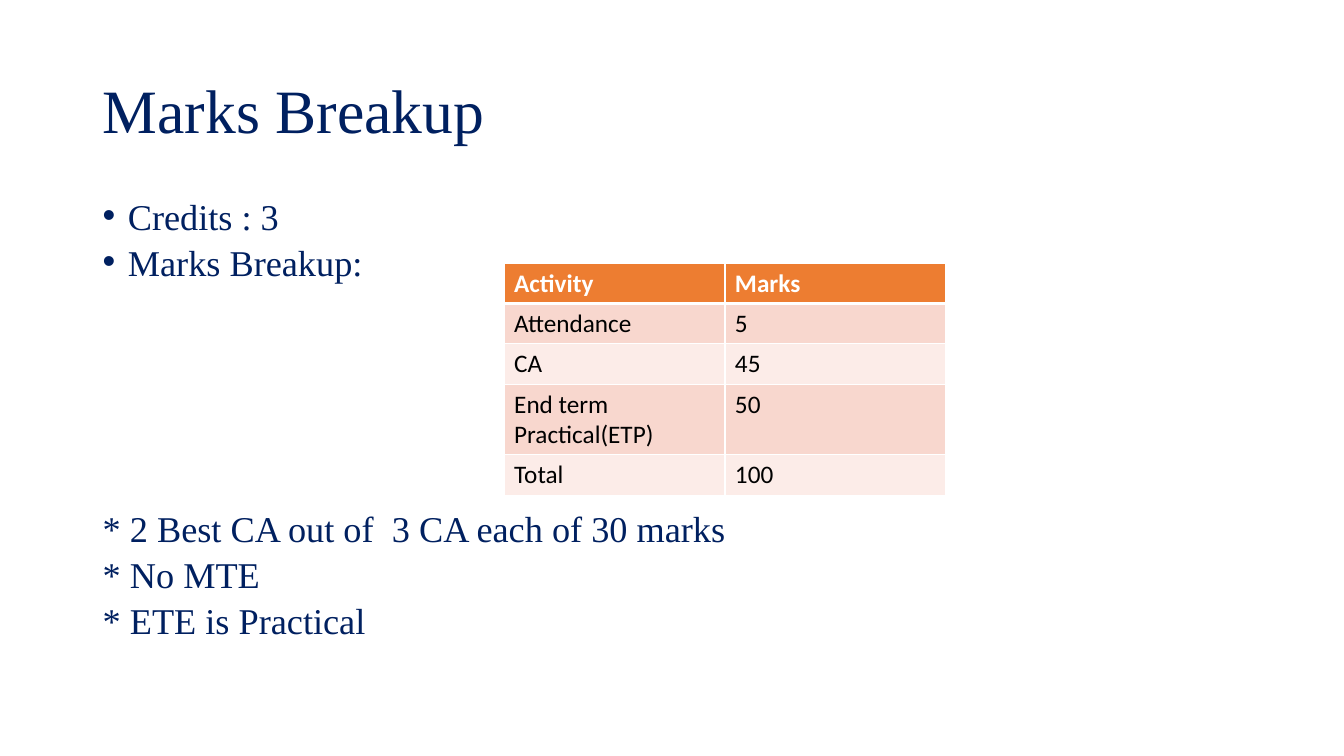
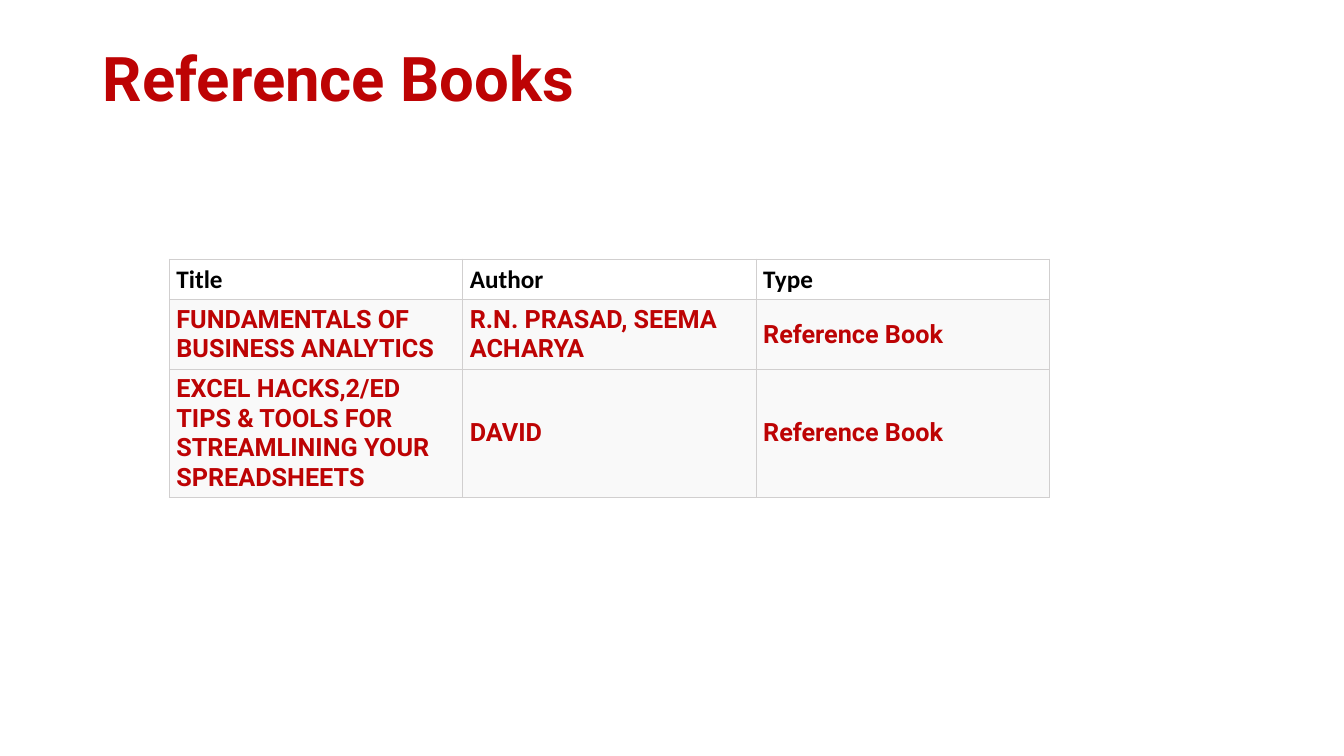
from lxml import etree
from pptx import Presentation
from pptx.dml.color import RGBColor
from pptx.enum.text import MSO_ANCHOR, MSO_AUTO_SIZE, PP_ALIGN
from pptx.oxml.ns import qn
from pptx.util import Inches, Pt

LEFT = PP_ALIGN.LEFT
TOP, MIDDLE = MSO_ANCHOR.TOP, MSO_ANCHOR.MIDDLE
NO_FIT = MSO_AUTO_SIZE.NONE

NAVY, RED, ORANGE = "002060", "BD0304", "ED7D31"
WHITE, BLACK, GRAY = "FFFFFF", "000000", "D1CFCF"
PEACH, BLUSH, OFF_WHITE = "F8D7CE", "FCECE8", "F9F9F9"
SERIF, SANS, BOLD_SANS = "Times New Roman", "Calibri", "Roboto"

rgb = RGBColor.from_string

prs = Presentation()
prs.slide_width, prs.slide_height = Inches(13.33), Inches(7.5)


def add_slide(title, top, font, color, bold):
    s = prs.slides.add_slide(prs.slide_layouts[5])
    sp = s.shapes.title
    sp.left, sp.top = Inches(0.92), Inches(top)
    sp.width, sp.height = Inches(11.5), Inches(1.45)
    tf = sp.text_frame
    tf.text = title
    tf.auto_size = NO_FIT
    tf.vertical_anchor = MIDDLE
    p = tf.paragraphs[0]
    p.alignment = LEFT
    p.line_spacing = 0.9
    f = p.runs[0].font
    f.name, f.size, f.bold = font, Pt(44), bold
    f.color.rgb = rgb(color)
    return s


def add_table(s, left, top, col_width, heights, rows, styles, border, widths, anchor, margin):
    table = s.shapes.add_table(len(rows), len(rows[0]), Inches(left), Inches(top),
                               Inches(col_width * len(rows[0])), Inches(sum(heights))).table
    table.first_row = table.horz_banding = False
    for col in table.columns:
        col.width = Inches(col_width)
    for i, (row, height, style) in enumerate(zip(rows, heights, styles)):
        fill, font, color, bold = style
        table.rows[i].height = Inches(height)
        for j, text in enumerate(row):
            cell = table.cell(i, j)
            cell.text = text
            cell.vertical_anchor = anchor
            cell.margin_left = cell.margin_right = Inches(margin)
            f = cell.text_frame.paragraphs[0].runs[0].font
            f.name, f.size, f.bold = font, Pt(18), bold
            f.color.rgb = rgb(color)
            tc_pr = cell._tc.get_or_add_tcPr()
            edges = {"a:lnL": widths[1], "a:lnR": widths[1],
                     "a:lnT": widths[0] if i == 1 else widths[1],
                     "a:lnB": widths[0] if i == 0 else widths[1]}
            for tag, width in edges.items():
                ln = etree.SubElement(tc_pr, qn(tag), w=str(Pt(width)))
                line_fill = etree.SubElement(ln, qn("a:solidFill"))
                etree.SubElement(line_fill, qn("a:srgbClr"), val=border)
            cell.fill.solid()
            cell.fill.fore_color.rgb = rgb(fill)


s = add_slide("Marks Breakup", 0.4, SERIF, NAVY, False)
text_blocks = [
    (2, 1, True, ["Credits : 3", "Marks Breakup:"]),
    (5.09, 1.5, False, ["* 2 Best CA out of  3 CA each of 30 marks", "* No MTE", "* ETE is Practical"]),
]
for top, height, bulleted, lines in text_blocks:
    tf = s.shapes.add_textbox(Inches(0.92), Inches(top), Inches(11.5), Inches(height)).text_frame
    tf.word_wrap = True
    tf.text = "\n".join(lines)
    for i, p in enumerate(tf.paragraphs):
        p.line_spacing = 0.7
        if i:
            p.space_before = Pt(11)
        if bulleted:
            p_pr = p._p.get_or_add_pPr()
            p_pr.set("marL", str(Inches(0.25)))
            p_pr.set("indent", str(-Inches(0.25)))
            etree.SubElement(p_pr, qn("a:buFont"), typeface="Arial")
            etree.SubElement(p_pr, qn("a:buChar"), char="•")
        f = p.runs[0].font
        f.name, f.size = SERIF, Pt(25.9)
        f.color.rgb = rgb(NAVY)

marks = [
    ("Activity", "Marks"),
    ("Attendance", "5"),
    ("CA", "45"),
    ("End term Practical(ETP)", "50"),
    ("Total", "100"),
]
bands = [(PEACH, SANS, BLACK, False), (BLUSH, SANS, BLACK, False)]
add_table(s, 5, 2.61, 2.19, [0.4, 0.4, 0.4, 0.7, 0.4], marks,
          [(ORANGE, SANS, WHITE, True)] + bands * 2, WHITE, (3, 1), TOP, 0.1)

s = add_slide("Reference Books", 0.08, BOLD_SANS, RED, True)
books = [
    ("Title", "Author", "Type"),
    ("FUNDAMENTALS OF BUSINESS ANALYTICS", "R.N. PRASAD, SEEMA ACHARYA", "Reference Book"),
    ("EXCEL HACKS,2/ED TIPS & TOOLS FOR STREAMLINING YOUR SPREADSHEETS", "DAVID", "Reference Book"),
]
add_table(s, 1.68, 2.57, 2.91, [0.4, 0.68, 1.27], books,
          [(WHITE, SANS, BLACK, True)] + [(OFF_WHITE, BOLD_SANS, RED, True)] * 2,
          GRAY, (0.75, 0.75), MIDDLE, 0.07)

prs.save("out.pptx")
